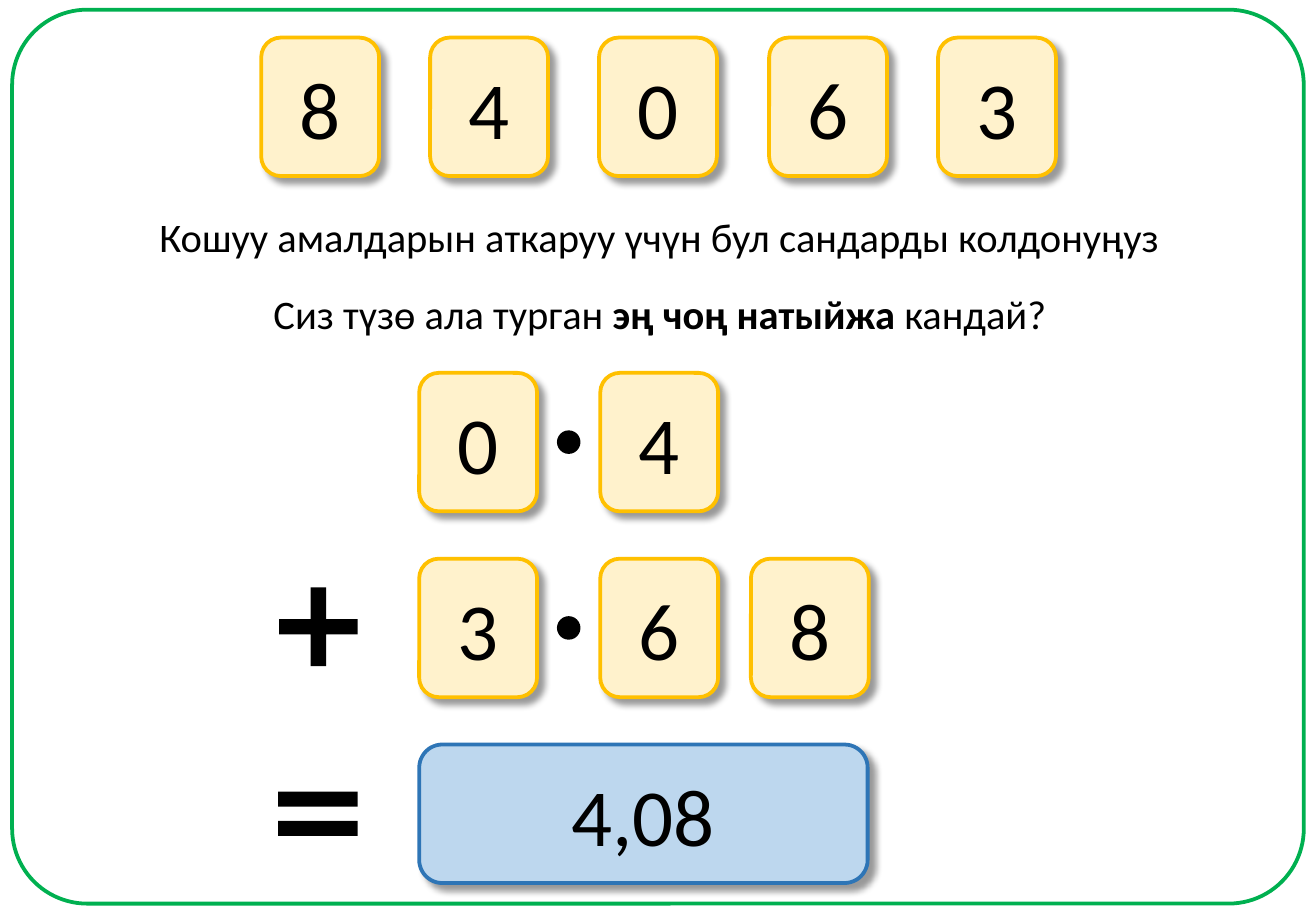
from dataclasses import dataclass

from lxml import etree
from pptx import Presentation
from pptx.dml.color import RGBColor
from pptx.enum.shapes import MSO_SHAPE
from pptx.enum.text import MSO_ANCHOR, MSO_AUTO_SIZE, PP_ALIGN
from pptx.oxml.ns import qn
from pptx.util import Pt

ROUNDED = MSO_SHAPE.ROUNDED_RECTANGLE
OVAL = MSO_SHAPE.OVAL
PLUS = MSO_SHAPE.MATH_PLUS
EQUAL = MSO_SHAPE.MATH_EQUAL
CENTER = PP_ALIGN.CENTER
MIDDLE = MSO_ANCHOR.MIDDLE
FIT_SHAPE = MSO_AUTO_SIZE.SHAPE_TO_FIT_TEXT

PX = 9144
SLIDE_WIDTH, SLIDE_HEIGHT = 1083, 750
CARD_WIDTH, CARD_HEIGHT = 97, 114


@dataclass(frozen=True)
class Theme:
    font: str = "Calibri"
    digit_size: int = 48
    text_size: int = 24
    outline: float = 2.25
    ink: str = "000000"
    frame: str = "00B050"
    card_fill: str = "FFF2CC"
    card_line: str = "FFC000"
    answer_fill: str = "BDD7EE"
    answer_line: str = "2E75B6"


THEME = Theme()


def to_emu(box):
    return [length * PX for length in box]


def format_run(run, size, bold=False):
    run.font.name = THEME.font
    run.font.size = Pt(size)
    run.font.bold = bold
    run.font.color.rgb = RGBColor.from_string(THEME.ink)


def add_figure(slide, kind, box, fill=None, line=None, width=THEME.outline, adjustments=()):
    shape = slide.shapes.add_shape(kind, *to_emu(box))
    shape.shadow.inherit = False
    for index, value in enumerate(adjustments):
        shape.adjustments[index] = value
    if fill:
        shape.fill.solid()
        shape.fill.fore_color.rgb = RGBColor.from_string(fill)
    else:
        shape.fill.background()
    if line:
        shape.line.color.rgb = RGBColor.from_string(line)
        shape.line.width = Pt(width)
    else:
        shape.line.fill.background()
    return shape


def add_drop_shadow(shape):
    effects = shape._element.spPr.find(qn("a:effectLst"))
    shadow = etree.SubElement(
        effects, qn("a:outerShdw"), blurRad=str(Pt(4)), dist=str(Pt(5)),
        dir="2700000", algn="tl", rotWithShape="0")
    color = etree.SubElement(shadow, qn("a:srgbClr"), val=THEME.ink)
    etree.SubElement(color, qn("a:alpha"), val="40000")


def add_card(slide, box, text, fill=THEME.card_fill, line=THEME.card_line):
    shape = add_figure(slide, ROUNDED, box, fill, line)
    add_drop_shadow(shape)
    text_frame = shape.text_frame
    text_frame.text = text
    text_frame.vertical_anchor = MIDDLE
    paragraph = text_frame.paragraphs[0]
    paragraph.alignment = CENTER
    format_run(paragraph.runs[0], THEME.digit_size)


def add_digit_row(slide, box, digits):
    left, top, width, height = box
    step = (width - CARD_WIDTH) / (len(digits) - 1)
    for index, digit in enumerate(digits):
        add_card(slide, (left + round(index * step), top, CARD_WIDTH, height), digit)


def add_question(slide, box, parts):
    text_box = slide.shapes.add_textbox(*to_emu(box))
    text_frame = text_box.text_frame
    text_frame.word_wrap = False
    text_frame.auto_size = FIT_SHAPE
    paragraph = text_frame.paragraphs[0]
    paragraph.alignment = CENTER
    for text, bold in parts:
        run = paragraph.add_run()
        run.text = text
        format_run(run, THEME.text_size, bold)


def add_sum(slide, box, addends, answer):
    left, top, width, height = box
    row_step = (height - CARD_HEIGHT) // len(addends)
    card_offsets = (128, 277, 401)
    for row, digits in enumerate(addends):
        row_top = top + row * row_step
        for offset, digit in zip(card_offsets, digits):
            add_card(slide, (left + offset, row_top, CARD_WIDTH, CARD_HEIGHT), digit)
        add_figure(slide, OVAL, (left + 242, row_top + 48, 18, 18), THEME.ink, THEME.ink, 1)
    answer_top = top + len(addends) * row_step
    answer_left = card_offsets[0]
    add_card(slide, (left + answer_left, answer_top, width - answer_left, CARD_HEIGHT),
             answer, THEME.answer_fill, THEME.answer_line)
    add_figure(slide, PLUS, (left + 1, answer_top - row_step + 12, 88, 88), THEME.ink,
               adjustments=(0.144,))
    add_figure(slide, EQUAL, (left, answer_top + 7, 89, 100), THEME.ink,
               adjustments=(0.123, 0.118))


def build_puzzle(slide, box):
    left, top, width, height = box
    add_figure(slide, ROUNDED, (left + 10, top + 8, width - 20, height - 14),
               line=THEME.frame, adjustments=(0.084,))
    add_digit_row(slide, (left + 215, top + 31, 654, CARD_HEIGHT), "84063")
    add_question(slide, (left + 117, top + 170, 851, 50), [
        ("Кошуу амалдарын аткаруу үчүн бул сандарды колдонуңуз", False)])
    add_question(slide, (left + 212, top + 233, 662, 50), [
        ("Сиз түзө ала турган ", False), ("эң чоң натыйжа ", True), ("кандай?", False)])
    add_sum(slide, (left + 217, top + 307, 497, 420), ("04", "368"), "4,08")


def main():
    presentation = Presentation()
    presentation.slide_width, presentation.slide_height = to_emu((SLIDE_WIDTH, SLIDE_HEIGHT))
    slide = presentation.slides.add_slide(presentation.slide_layouts[6])
    build_puzzle(slide, (0, 0, SLIDE_WIDTH, SLIDE_HEIGHT))
    presentation.save("out.pptx")


if __name__ == "__main__":
    main()
